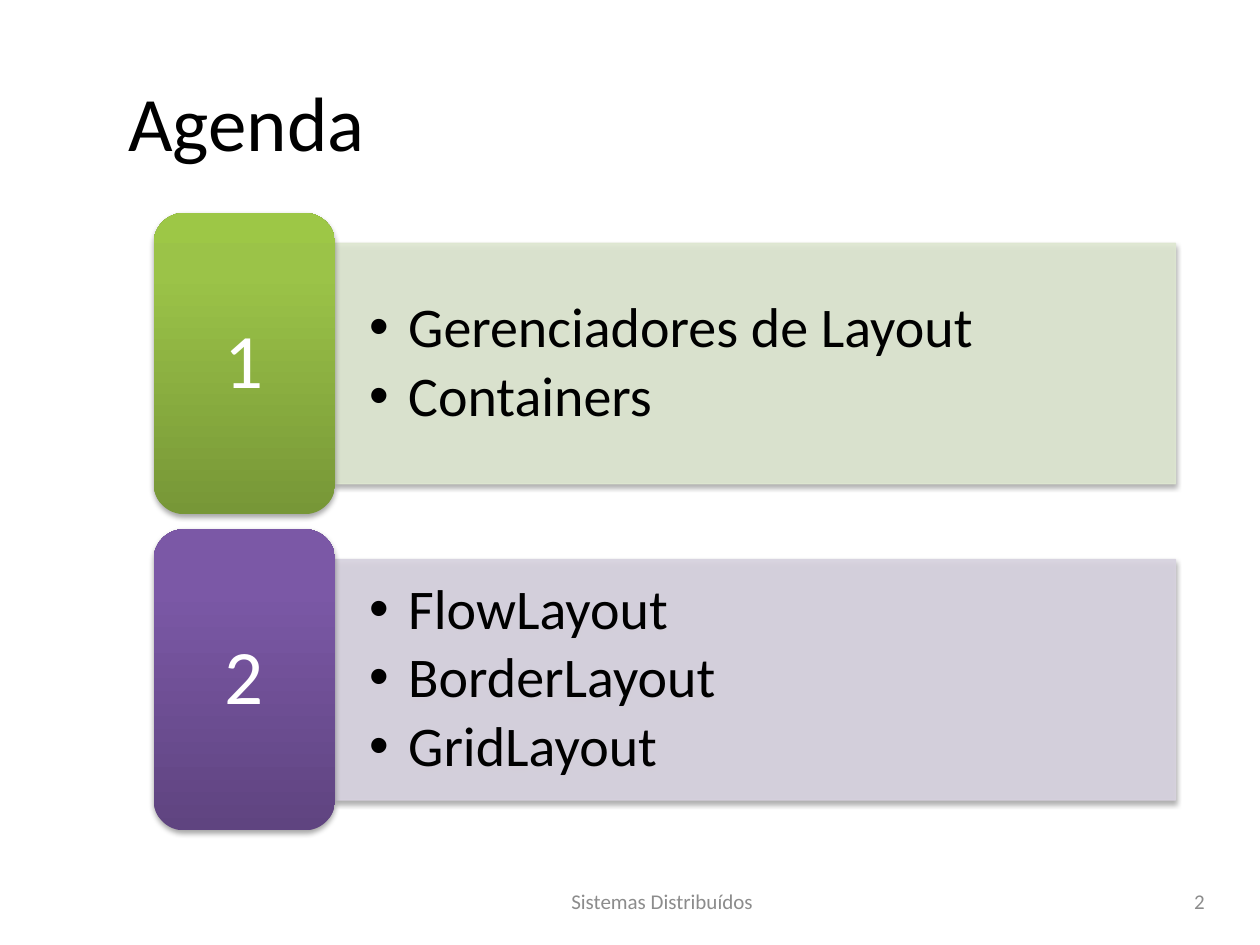
import pptx
import pptx.util
import pptx.dml.color
import pptx.enum.shapes
import pptx.enum.text
import pptx.oxml
import pptx.oxml.ns

Inches = pptx.util.Inches
Pt = pptx.util.Pt
RGBColor = pptx.dml.color.RGBColor
Align = pptx.enum.text.PP_ALIGN
Shape = pptx.enum.shapes.MSO_SHAPE
qn = pptx.oxml.ns.qn

BLACK = RGBColor(0x00, 0x00, 0x00)
WHITE = RGBColor(0xFF, 0xFF, 0xFF)
GRAY = RGBColor(0x8C, 0x8C, 0x8C)
PALE_GREEN = RGBColor(0xDE, 0xE7, 0xD1)
PALE_PURPLE = RGBColor(0xD8, 0xD3, 0xE0)
GREENS = (RGBColor(0x77, 0x97, 0x37), RGBColor(0x9B, 0xC3, 0x48), RGBColor(0x9D, 0xC7, 0x46))
PURPLES = (RGBColor(0x5F, 0x44, 0x80), RGBColor(0x7B, 0x58, 0xA6), RGBColor(0x7C, 0x57, 0xA8))
STOPS = (0, 80, 100)

SECTIONS = (
    (("Gerenciadores de Layout", "Containers"), PALE_GREEN, GREENS),
    (("FlowLayout", "BorderLayout", "GridLayout"), PALE_PURPLE, PURPLES),
)
TAB_TOP = 1.69
TAB_HEIGHT = 2.39
BAND_HEIGHT = 1.91
SECTION_STEP = 2.51


def add_xml(parent, markup):
    namespace = pptx.oxml.ns.nsdecls("a")
    tag, rest = markup.split(" ", 1)
    parent.append(pptx.oxml.parse_xml(f"{tag} {namespace} {rest}"))


def write(shape, lines, size, color, align=Align.LEFT, margins=(0.1, 0.05)):
    frame = shape.text_frame
    frame.word_wrap = True
    frame.vertical_anchor = pptx.enum.text.MSO_ANCHOR.MIDDLE
    frame.margin_left = frame.margin_right = Inches(margins[0])
    frame.margin_top = frame.margin_bottom = Inches(margins[1])
    frame.text = "\n".join(lines)
    for para in frame.paragraphs:
        para.alignment = align
        for span in para.runs:
            span.font.name = "Calibri"
            span.font.size = Pt(size)
            span.font.color.rgb = color
    return frame


def set_spacing(frame, after):
    for para in frame.paragraphs:
        para.line_spacing = 0.9
        para.space_after = Pt(after)


def add_label(page, place, text, size, color, align):
    box = page.shapes.add_textbox(*map(Inches, place))
    write(box, [text], size, color, align)


def add_shadowed(page, kind, place):
    shape = page.shapes.add_shape(kind, *map(Inches, place))
    shape.shadow.inherit = False
    effects = shape._element.spPr.find(qn("a:effectLst"))
    add_xml(effects, '<a:outerShdw blurRad="39370" dist="22860" dir="5400000" rotWithShape="0">'
            '<a:srgbClr val="000000"><a:alpha val="35000"/></a:srgbClr></a:outerShdw>')
    return shape


def add_band(page, top, items, color):
    band = add_shadowed(page, Shape.RECTANGLE, (2.66, top, 6.67, BAND_HEIGHT))
    band.fill.solid()
    band.fill.fore_color.rgb = color
    band.line.color.rgb = color
    band.line.width = Pt(0.75)
    for tint in band._element.spPr.iterfind(".//" + qn("a:solidFill") + "/" + qn("a:srgbClr")):
        add_xml(tint, '<a:alpha val="90000"/>')
    frame = write(band, items, 32, BLACK, margins=(0.27, 0.14))
    set_spacing(frame, 4.8)
    for para in frame.paragraphs:
        properties = para._p.get_or_add_pPr()
        properties.set("marL", str(Inches(0.31)))
        properties.set("indent", str(-Inches(0.31)))
        add_xml(properties, '<a:buFont typeface="Arial"/>')
        add_xml(properties, '<a:buChar char="•"/>')


def add_tab(page, top, number, colors):
    tab = add_shadowed(page, Shape.ROUNDED_RECTANGLE, (1.22, top, 1.44, TAB_HEIGHT))
    tab.line.fill.background()
    tab.fill.gradient()
    tab.fill.gradient_angle = 90
    stops = tab._element.spPr.find(qn("a:gradFill")).find(qn("a:gsLst"))
    for stop in list(stops):
        stops.remove(stop)
    for position, color in zip(STOPS, colors):
        add_xml(stops, f'<a:gs pos="{position * 1000}"><a:srgbClr val="{color}"/></a:gs>')
    frame = write(tab, [str(number)], 44, WHITE, Align.CENTER, (0.18, 0.09))
    set_spacing(frame, 15.4)


def main():
    deck = pptx.Presentation()
    deck.slide_width = Inches(10)
    deck.slide_height = Inches(7.5)
    page = deck.slides.add_slide(deck.slide_layouts[6])
    for index, (items, pale, colors) in enumerate(SECTIONS):
        top = TAB_TOP + index * SECTION_STEP
        add_band(page, top + (TAB_HEIGHT - BAND_HEIGHT) / 2, items, pale)
        add_tab(page, top, index + 1, colors)
    add_label(page, (0.92, 0.33, 8.83, 1.25), "Agenda", 44, BLACK, Align.LEFT)
    add_label(page, (3.67, 6.95, 3.17, 0.4), "Sistemas Distribuídos", 12, GRAY, Align.CENTER)
    add_label(page, (7.33, 6.95, 2.33, 0.4), "2", 12, GRAY, Align.RIGHT)
    deck.save("out.pptx")


main()
